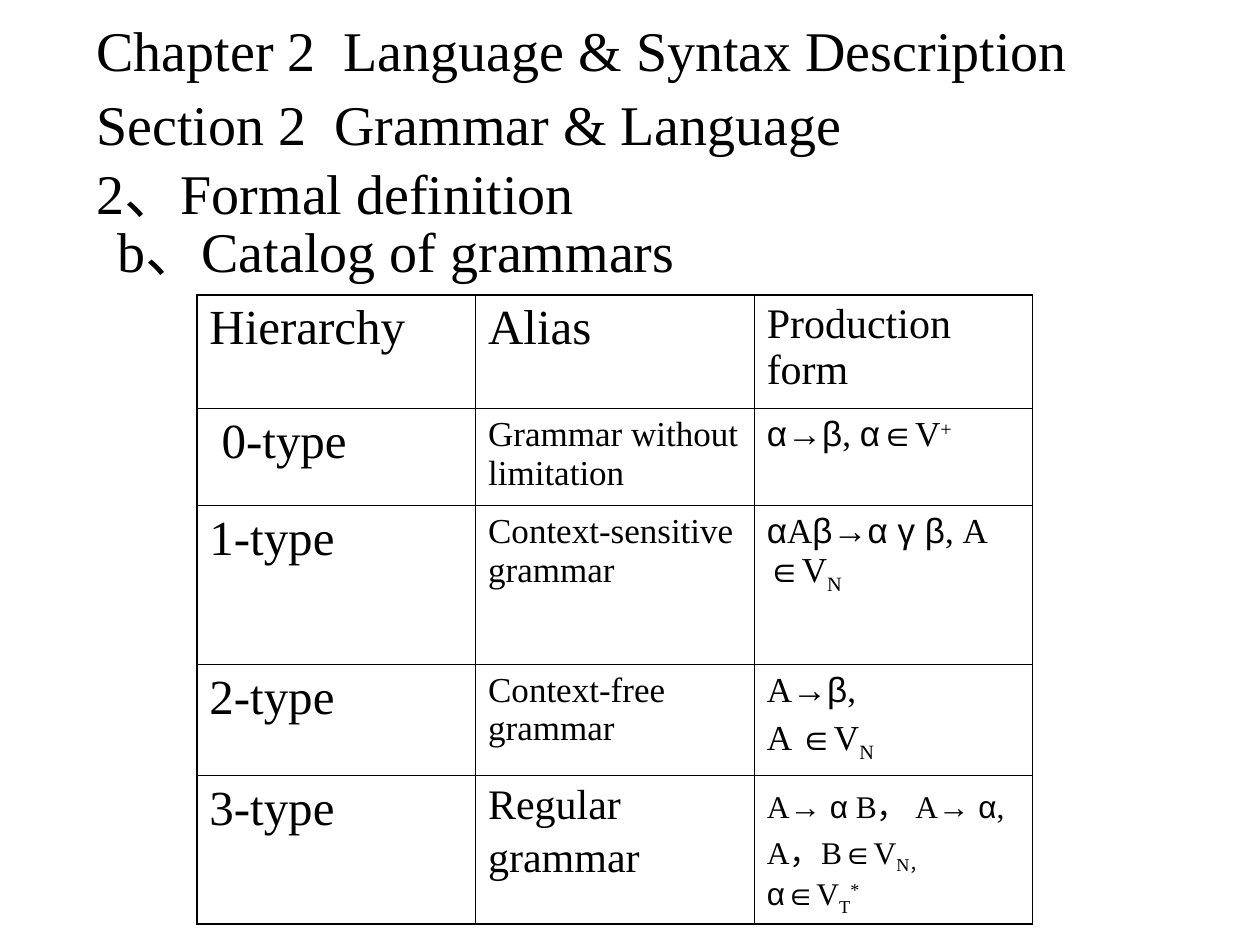
from lxml.etree import SubElement
from pptx import Presentation
from pptx.dml.color import RGBColor
from pptx.enum.text import MSO_ANCHOR, MSO_AUTO_SIZE, PP_ALIGN
from pptx.oxml.ns import qn
from pptx.util import Pt

BLACK = RGBColor(0, 0, 0)
SERIF, SYMBOL = "Times New Roman", "Arial"
SUB, SUPER = -25000, 30000
THIN, THICK = Pt(0.45), Pt(1.08)


def sym(text):
    return text, {"name": SYMBOL}


def sub(text):
    return text, {"baseline": SUB}


def sup(text):
    return text, {"baseline": SUPER}


def sized(text, size):
    return text, {"size": size}


class SlideBuilder:
    """Holds the text style and the slide being filled."""

    def __init__(self, slide, font=SERIF, color=BLACK):
        self.slide, self.font, self.color = slide, font, color

    def fill_paragraph(self, paragraph, spans, size, before=0):
        """Fill a paragraph with plain strings and (text, format) pairs."""
        paragraph.alignment = PP_ALIGN.LEFT
        paragraph.space_before = Pt(before)
        font = paragraph.font
        font.name, font.size, font.color.rgb = self.font, Pt(size), self.color
        for span in spans:
            text, style = (span, {}) if isinstance(span, str) else span
            for number, line in enumerate(text.split("\n")):
                if number:
                    paragraph.add_line_break()
                if line:
                    self.add_run(paragraph, line, **style)

    def add_run(self, paragraph, text, name=None, size=None, baseline=None):
        run = paragraph.add_run()
        run.text = text
        if name:
            run.font.name = name
        if size:
            run.font.size = Pt(size)
        if baseline:
            run.font._element.set("baseline", str(baseline))

    def place(self, placeholder, left, top, width, height, anchor):
        placeholder.left, placeholder.top = Pt(left), Pt(top)
        placeholder.width, placeholder.height = Pt(width), Pt(height)
        frame = placeholder.text_frame
        frame.auto_size = MSO_AUTO_SIZE.NONE
        frame.word_wrap = True
        frame.vertical_anchor = anchor
        return frame.paragraphs[0]

    def title(self, spans, box, size):
        heading = self.place(self.slide.shapes.title, *box, MSO_ANCHOR.MIDDLE)
        self.fill_paragraph(heading, spans, size)

    def body(self, spans, box, size, indent):
        item = self.place(self.slide.placeholders[1], *box, MSO_ANCHOR.TOP)
        properties = item._p.get_or_add_pPr()
        properties.set("marL", str(Pt(indent)))
        properties.set("indent", "0")
        SubElement(properties, qn("a:buNone"))
        self.fill_paragraph(item, spans, size, before=8)

    def table(self, rows, left, top, column_width, row_heights):
        columns = len(rows[0])
        table = self.slide.shapes.add_table(
            len(rows), columns, Pt(left), Pt(top),
            Pt(column_width * columns), Pt(sum(row_heights))).table
        table.first_row = table.horz_banding = False
        for column in table.columns:
            column.width = Pt(column_width)
        for r, (row, height) in enumerate(zip(rows, row_heights)):
            table.rows[r].height = Pt(height)
            for c, (size, before, *paragraphs) in enumerate(row):
                cell = table.cell(r, c)
                self.border(cell, L=THIN if c else THICK, R=THIN,
                            T=THIN if r else THICK,
                            B=THICK if r == len(rows) - 1 else THIN)
                cell.fill.background()
                frame = cell.text_frame
                for number, spans in enumerate(paragraphs):
                    paragraph = frame.add_paragraph() if number else frame.paragraphs[0]
                    self.fill_paragraph(paragraph, spans, size, before)

    def border(self, cell, **widths):
        properties = cell._tc.get_or_add_tcPr()
        for side, width in widths.items():
            line = SubElement(properties, qn(f"a:ln{side}"), w=str(width))
            fill = SubElement(line, qn("a:solidFill"))
            SubElement(fill, qn("a:srgbClr"), val=str(self.color))


# Each cell: font size, space before, then one list of spans per paragraph.
GRAMMARS = [
    [(28, 7, ["Hierarchy"]), (28, 7, ["Alias"]), (24, 6, ["Production form"])],
    [(28, 7, [" 0-type"]), (20, 5, ["Grammar without limitation"]),
     (20, 5, [sym("α→β"), ", ", sym("α∈"), "V", sup("+")])],
    [(28, 7, ["1-type"]), (20, 5, ["Context-sensitive grammar"]),
     (20, 5, [sym("α"), "A", sym("β→α γ β"), ", A ", sym("∈"), "V", sub("N")])],
    [(28, 7, ["2-type"]), (20, 5, ["Context-free grammar"]),
     (20, 5, ["A", sym("→β"), ","], ["A ", sym("∈"), "V", sub("N")])],
    [(28, 7, ["3-type"]), (24, 7, ["Regular grammar", sized(" ", 28)]),
     (18, 4.5, ["A", sym("→ α"), " B， A", sym("→ α"), ", A，B", sym("∈"), "V",
                sub("N，"), sym("α∈"), "V", sub("T"), sup("*")])],
]


def main():
    deck = Presentation()
    deck.slide_width, deck.slide_height = Pt(720), Pt(540)
    builder = SlideBuilder(deck.slides.add_slide(deck.slide_layouts[1]))
    builder.title(
        ["Chapter 2  Language & Syntax Description\nSection 2  Grammar & Language",
         sized(" \n", 36), "2、Formal definition"],
        box=(48, 24, 612, 90), size=32)
    builder.body(["b、Catalog of grammars"], box=(36, 120, 654, 366), size=32, indent=24)
    builder.table(GRAMMARS, left=112.5, top=168.5, column_width=159.25,
                  row_heights=[65, 55.5, 90.75, 63.5, 78])
    deck.save("out.pptx")


if __name__ == "__main__":
    main()
